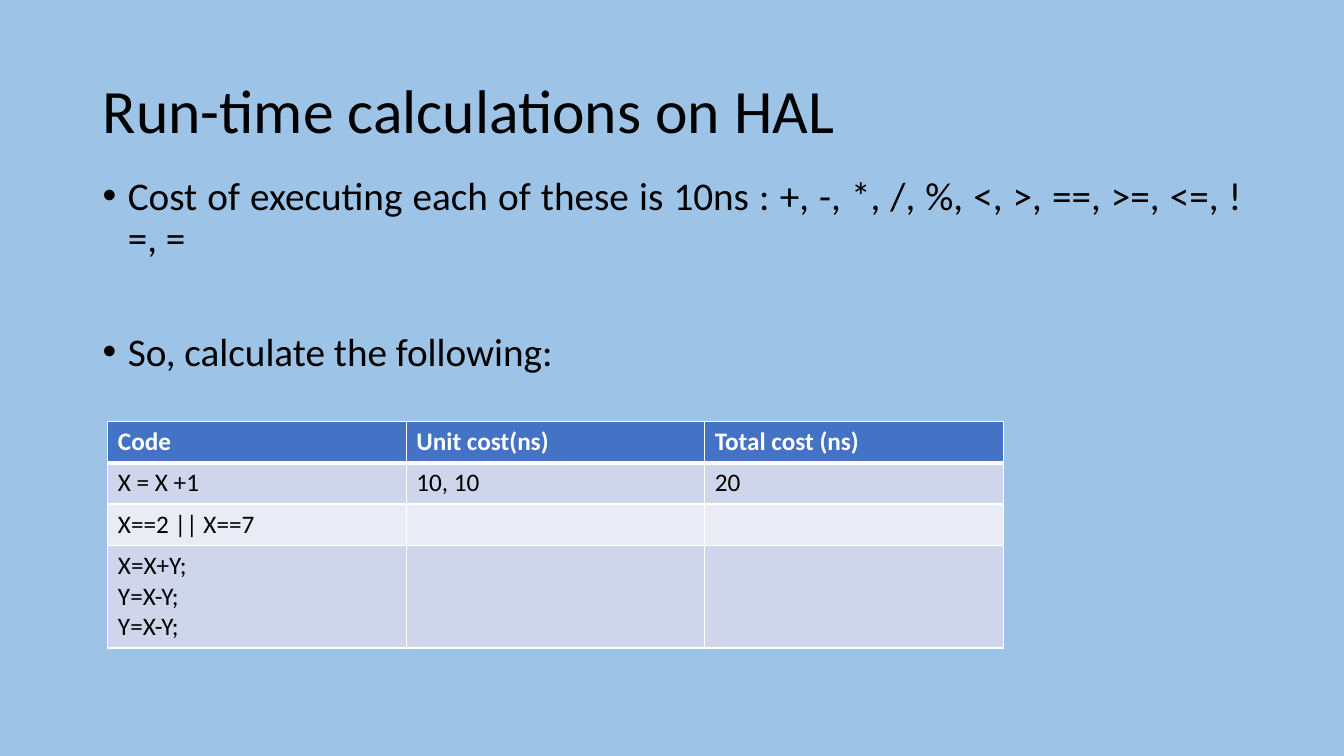
import pptx
import pptx.util
import pptx.dml.color
import pptx.enum.text
import pptx.oxml.ns
from lxml import etree

Inches, Pt = pptx.util.Inches, pptx.util.Pt
RGB = pptx.dml.color.RGBColor.from_string
ALIGN = pptx.enum.text.PP_ALIGN
ANCHOR = pptx.enum.text.MSO_ANCHOR
qn = pptx.oxml.ns.qn

TITLE = "Run-time calculations on HAL"
BULLETS = [
    ("Cost of executing each of these is 10ns : +, -, *, /, %, <, >, ==, >=, <=, !=, =", 10),
    ("So, calculate the following:", 51),
]
COSTS = [
    ("Code", "Unit cost(ns)", "Total cost (ns)"),
    ("X = X +1", "10, 10", "20"),
    ("X==2 || X==7", "", ""),
    ("X=X+Y;\nY=X-Y;\nY=X-Y;", "", ""),
]
ROW_HEIGHTS = [0.41, 0.41, 0.41, 1.02]
COLUMN_WIDTH = 2.96

THEME = {
    "font": "Calibri",
    "background": "9DC3E6", "text": "000000", "header_text": "FFFFFF",
    "header": "4472C4", "bands": ("E9EBF5", "CFD5EA"), "border": "FFFFFF",
    "title_size": 44, "body_size": 28, "table_size": 18,
}


def style(p, size, color, bold=False):
    for r in p.runs:
        r.font.name = THEME["font"]
        r.font.size = Pt(size)
        r.font.color.rgb = RGB(color)
        r.font.bold = bold


def add_text(slide, left, top, width, height, anchor):
    sp = slide.shapes.add_textbox(*map(Inches, (left, top, width, height)))
    tf = sp.text_frame
    tf.word_wrap = True
    tf.vertical_anchor = anchor
    return tf


def add_bullet(p):
    pPr = p._p.get_or_add_pPr()
    pPr.set("marL", str(Inches(0.25)))
    pPr.set("indent", str(Inches(-0.25)))
    etree.SubElement(pPr, qn("a:buFont")).set("typeface", "Arial")
    etree.SubElement(pPr, qn("a:buChar")).set("char", "•")


def set_borders(cell, widths):
    tcPr = cell._tc.get_or_add_tcPr()
    for i, (side, width) in enumerate(widths.items()):
        ln = etree.Element(qn("a:ln" + side), w=str(Pt(width)))
        fill = etree.SubElement(ln, qn("a:solidFill"))
        etree.SubElement(fill, qn("a:srgbClr")).set("val", THEME["border"])
        tcPr.insert(i, ln)


def add_costs(slide):
    frame = slide.shapes.add_table(
        len(COSTS), len(COSTS[0]), Inches(1.07), Inches(4.18),
        Inches(COLUMN_WIDTH * len(COSTS[0])), Inches(sum(ROW_HEIGHTS)))
    table = frame.table
    for column in table.columns:
        column.width = Inches(COLUMN_WIDTH)
    for i, (values, height) in enumerate(zip(COSTS, ROW_HEIGHTS)):
        table.rows[i].height = Inches(height)
        header = i == 0
        for j, value in enumerate(values):
            cell = table.cell(i, j)
            cell.text_frame.text = value
            cell.fill.solid()
            cell.fill.fore_color.rgb = RGB(THEME["header"] if header else THEME["bands"][i % 2])
            set_borders(cell, {"L": 1, "R": 1, "T": 3 if i == 1 else 1, "B": 3 if header else 1})
            for p in cell.text_frame.paragraphs:
                style(p, THEME["table_size"], THEME["header_text" if header else "text"], header)


def main():
    prs = pptx.Presentation()
    prs.slide_width, prs.slide_height = Inches(13.33), Inches(7.5)
    slide = prs.slides.add_slide(prs.slide_layouts[6])
    slide.background.fill.solid()
    slide.background.fill.fore_color.rgb = RGB(THEME["background"])

    p = add_text(slide, 0.92, 0.4, 11.5, 1.45, ANCHOR.MIDDLE).paragraphs[0]
    p.text = TITLE
    p.line_spacing = 0.9
    style(p, THEME["title_size"], THEME["text"])

    tf = add_text(slide, 0.92, 1.7, 11.5, 5.8, ANCHOR.TOP)
    tf.text = "\n".join(text for text, _ in BULLETS)
    for p, (_, space) in zip(tf.paragraphs, BULLETS):
        p.alignment = ALIGN.JUSTIFY
        p.line_spacing = 0.9
        p.space_before = Pt(space)
        add_bullet(p)
        style(p, THEME["body_size"], THEME["text"])

    add_costs(slide)
    prs.save("out.pptx")


if __name__ == "__main__":
    main()
